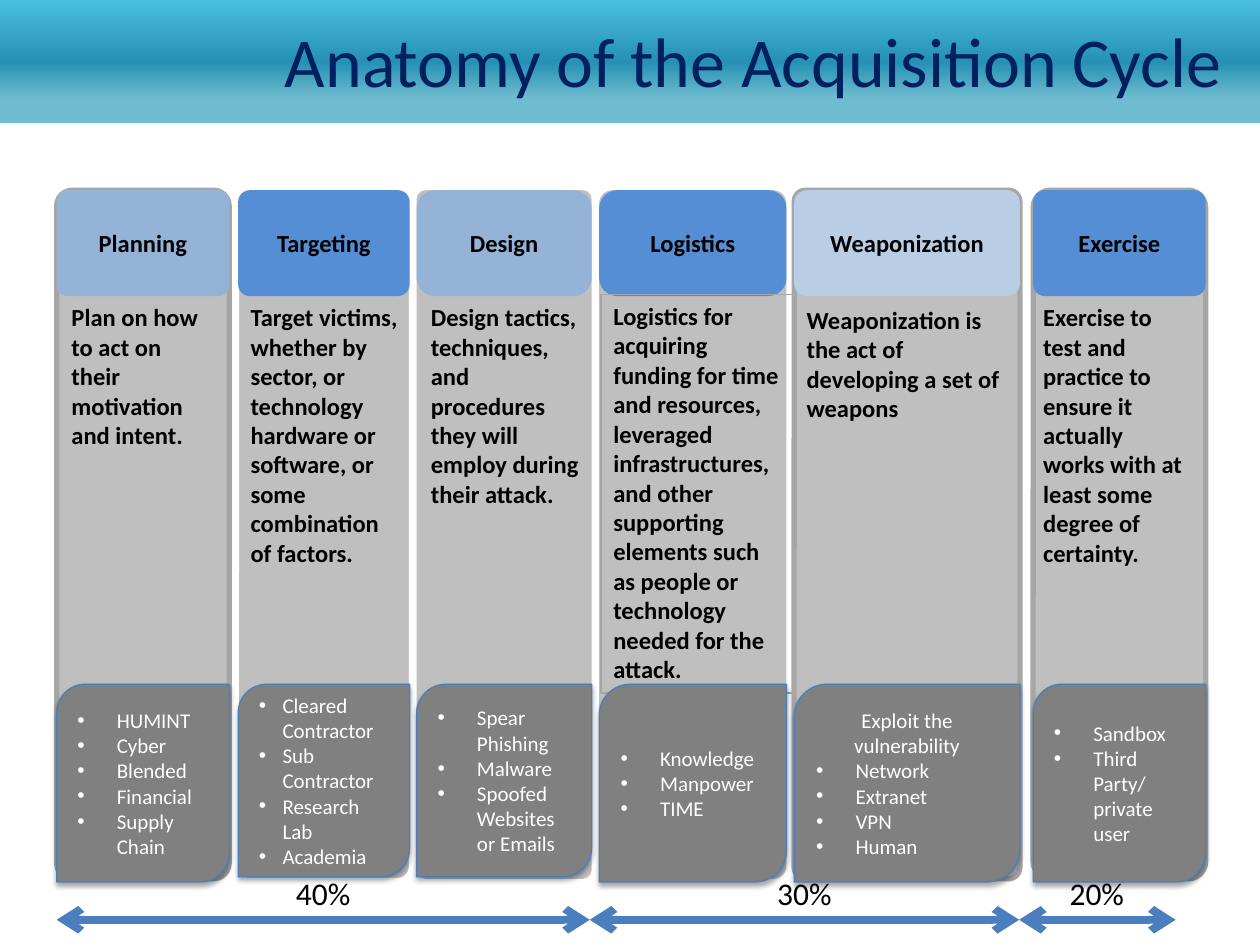
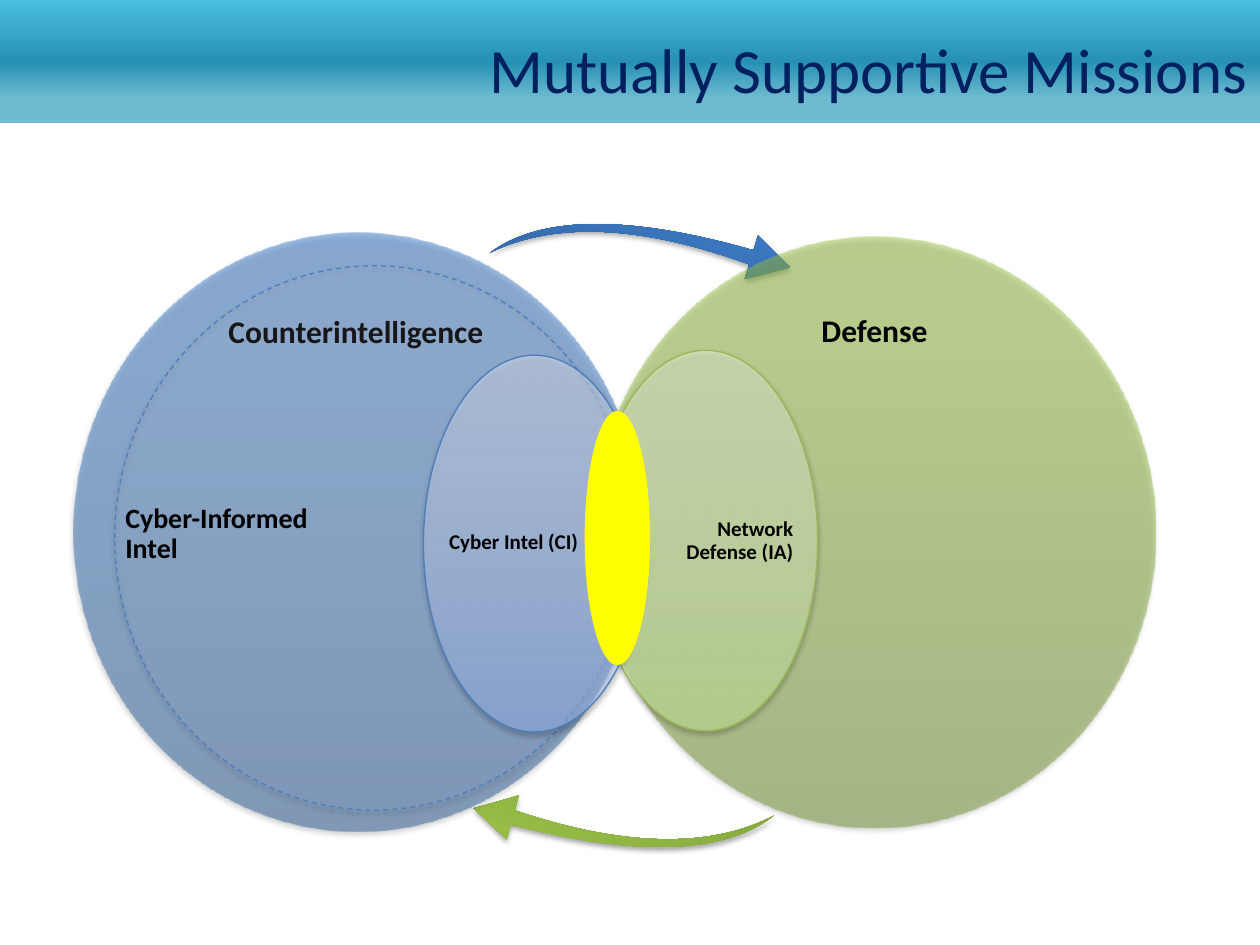
import dataclasses
import typing

import pptx
import pptx.dml.color
import pptx.enum.dml
import pptx.enum.shapes
import pptx.enum.text
import pptx.oxml
import pptx.oxml.ns
import pptx.util

Pt = pptx.util.Pt
SHAPE = pptx.enum.shapes.MSO_SHAPE
ALIGN = pptx.enum.text.PP_ALIGN
ANCHOR = pptx.enum.text.MSO_ANCHOR
qn = pptx.oxml.ns.qn
NS = pptx.oxml.ns.nsdecls("a")


class Theme:
    font = "Calibri"
    navy, black, white = "002060", "000000", "FFFFFF"
    panel, panel_edge, card = "BFBFBF", "A6A6A6", "808080"
    soft, strong, pale = "95B3D7", "558ED5", "B9CDE5"
    edge, green_edge, yellow = "4B7EBC", "98B955", "FFFF00"
    band = [(15, "6FBCD0"), (20, "6FBCD0"), (50, "2691B4"), (100, "4BBFDE")]
    blue = [(0, "2F5F99"), (80, "3D7CC7"), (100, "3A7CCB")]
    green = [(0, "779737"), (80, "9BC348"), (100, "9DC746")]
    light_blue = [(0, "A4C4FF"), (35, "BFD4FF"), (100, "E6EEFF")]
    light_green = [(0, "DAFDA7"), (35, "E4FCC2"), (100, "F5FFE7")]
    list_size, body, label, heading = 12, 14, 16, 18


class Box(typing.NamedTuple):
    x: float
    y: float
    w: float
    h: float

    def sub(self, x, y, w, h):
        return Box(self.x + x, self.y + y, w, h)

    def lengths(self):
        return [Pt(v) for v in self]


@dataclasses.dataclass
class Stage:
    name: str
    x: float
    w: float
    color: str
    corners: tuple
    text: str
    text_box: tuple
    items: list
    card_h: float = 113
    indent: float = 22.5
    border: str = None
    intro: str = None
    text_border: str = None


STAGES = [
    Stage("Planning", 0, 98.6, Theme.soft, (0.09, 0.1),
          "Plan on how to act on their motivation and intent.",
          (1.4, 60.5, 95.8, 92),
          ["HUMINT", "Cyber", "Blended", "Financial", "Supply Chain"],
          border=Theme.panel_edge),
    Stage("Targeting", 103.7, 98, Theme.strong, (0.07, 0.11),
          "Target victims, whether by sector, or technology hardware or "
          "software, or some combination of factors.",
          (0, 60.5, 102.2, 160),
          ["Cleared Contractor", "Sub Contractor", "Research Lab", "Academia"],
          card_h=110, indent=13.5, border=Theme.white),
    Stage("Design", 205.7, 100, Theme.soft, (0.05, 0.17),
          "Design tactics, techniques, and procedures they will employ "
          "during their attack.",
          (1, 60.5, 101.5, 126),
          ["Spear Phishing", "Malware", "Spoofed Websites or Emails"],
          card_h=110),
    Stage("Logistics", 310, 107, Theme.strong, (0.07, 0.17),
          "Logistics for acquiring funding for time and resources, leveraged "
          "infrastructures, and other supporting elements such as people or "
          "technology needed for the attack.",
          (1, 59.8, 110.9, 227.5),
          ["Knowledge", "Manpower", "TIME"], text_border=Theme.panel_edge),
    Stage("Weaponization", 421.4, 129, Theme.pale, (0.05, 0.12),
          "Weaponization is the act of developing a set of weapons",
          (0, 62, 129, 75),
          ["Network", "Extranet", "VPN", "Human"],
          border=Theme.panel_edge, intro="Exploit the vulnerability"),
    Stage("Exercise", 558, 98.6, Theme.strong, (0.1, 0.11),
          "Exercise to test and practice to ensure it actually works with at "
          "least some degree of certainty.",
          (-1.4, 60.5, 98, 143),
          ["Sandbox", "Third Party/ private user"], border=Theme.panel_edge),
]


def rgb(color):
    return pptx.dml.color.RGBColor.from_string(color)


def set_gradient(sp, stops, alpha=100, angle=270):
    sp.fill.background()
    gs = "".join(
        f'<a:gs pos="{pos * 1000}"><a:srgbClr val="{color}">'
        f'<a:alpha val="{alpha * 1000}"/></a:srgbClr></a:gs>'
        for pos, color in stops)
    grad = pptx.oxml.parse_xml(
        f'<a:gradFill {NS} rotWithShape="1"><a:gsLst>{gs}</a:gsLst>'
        f'<a:lin ang="{angle * 60000}" scaled="0"/></a:gradFill>')
    spPr = sp.element.spPr
    spPr.replace(spPr.find(qn("a:noFill")), grad)


def set_shadow(sp):
    sp.element.spPr.find(qn("a:effectLst")).append(pptx.oxml.parse_xml(
        f'<a:outerShdw {NS} blurRad="{Pt(3.1)}" dist="{Pt(1.8)}" dir="5400000" '
        'rotWithShape="0"><a:srgbClr val="000000"><a:alpha val="35000"/>'
        '</a:srgbClr></a:outerShdw>'))


def add_shape(slide, kind, box, fill=None, line=None, width=0.75, adj=(),
              alpha=100, shadow=False):
    sp = slide.shapes.add_shape(kind, *box.lengths())
    sp.shadow.inherit = False
    if isinstance(fill, list):
        set_gradient(sp, fill, alpha)
    elif fill:
        sp.fill.solid()
        sp.fill.fore_color.rgb = rgb(fill)
    else:
        sp.fill.background()
    if line:
        sp.line.color.rgb = rgb(line)
        sp.line.width = Pt(width)
    else:
        sp.line.fill.background()
    for i, value in enumerate(adj):
        sp.adjustments[i] = value
    if shadow:
        set_shadow(sp)
    return sp


def add_run(p, text, size, color=Theme.black, bold=False):
    r = p.add_run()
    r.text = text
    r.font.name = Theme.font
    r.font.size = Pt(size)
    r.font.bold = bold
    r.font.color.rgb = rgb(color)


def write(sp, lines, size, align=ALIGN.LEFT, anchor=ANCHOR.TOP, bold=True,
          color=Theme.black, wrap=True):
    tf = sp.text_frame
    tf.word_wrap = wrap
    tf.vertical_anchor = anchor
    p = tf.paragraphs[0]
    p.alignment = align
    for i, line in enumerate(lines):
        if i:
            p.add_line_break()
        add_run(p, line, size, color, bold)
    return tf


def add_text(slide, box, lines, size, **options):
    sp = slide.shapes.add_textbox(*box.lengths())
    return write(sp, lines, size, **options)


def add_venn_label(slide, box, lines, size, inset, align):
    tf = add_text(slide, box, lines, size, align=align, anchor=ANCHOR.MIDDLE)
    tf.margin_left = tf.margin_right = Pt(inset)
    tf.margin_top = tf.margin_bottom = Pt(inset)
    tf.paragraphs[0].line_spacing = 0.9


def add_band(slide):
    sp = add_shape(slide, SHAPE.RECTANGLE, Box(0, 0, 720, 70.5), Theme.band)
    slide.slide_layout.shapes.element.insert(2, sp.element)


def set_title(slide, box, text, size):
    sp = slide.shapes.title
    sp.left, sp.top, sp.width, sp.height = box.lengths()
    tf = write(sp, [text], size, ALIGN.RIGHT, ANCHOR.MIDDLE, False, Theme.navy)
    tf.auto_size = pptx.enum.text.MSO_AUTO_SIZE.NONE


def add_bullet(p, indent):
    pPr = p._p.get_or_add_pPr()
    pPr.set("marL", str(Pt(indent)))
    pPr.set("indent", str(-Pt(indent)))
    for tag in ('<a:buFont %s typeface="Arial"/>', '<a:buChar %s char="•"/>'):
        pPr.append(pptx.oxml.parse_xml(tag % NS))


def add_card(slide, box, stage):
    sp = add_shape(slide, SHAPE.ROUND_2_DIAG_RECTANGLE, box, Theme.card,
                   Theme.edge, shadow=True)
    tf = sp.text_frame
    tf.word_wrap = True
    tf.vertical_anchor = ANCHOR.MIDDLE
    entries = [(stage.intro, False)] if stage.intro else []
    entries += [(item, True) for item in stage.items]
    for i, (text, bulleted) in enumerate(entries):
        p = tf.add_paragraph() if i else tf.paragraphs[0]
        p.alignment = ALIGN.LEFT if bulleted else ALIGN.CENTER
        if bulleted:
            add_bullet(p, stage.indent)
        add_run(p, text, Theme.list_size, Theme.white)


def add_stage(slide, box, stage):
    body_corner, head_corner = stage.corners
    add_shape(slide, SHAPE.ROUNDED_RECTANGLE, box, Theme.panel, stage.border,
              1 if stage.border == Theme.white else 3, [body_corner])
    head = add_shape(slide, SHAPE.ROUNDED_RECTANGLE, box.sub(0, 0, box.w, 60.5),
                     stage.color, adj=[head_corner])
    write(head, [stage.name], Theme.body, ALIGN.CENTER, ANCHOR.MIDDLE)
    text = add_shape(slide, SHAPE.RECTANGLE, box.sub(*stage.text_box),
                     line=stage.text_border)
    write(text, [stage.text], Theme.body)
    add_card(slide, box.sub(0, 282.3, box.w, stage.card_h), stage)


def add_stages(slide, box):
    for stage in STAGES:
        add_stage(slide, box.sub(stage.x, 0, stage.w, box.h), stage)


def add_timeline(slide, box):
    stops = [0, 304.6, 550, 639.4]
    labels = [("40%", 129.6), ("30%", 404.6), ("20%", 571.7)]
    y = Pt(box.y + box.h)
    for start, end, (share, x) in zip(stops, stops[1:], labels):
        cx = slide.shapes.add_connector(
            pptx.enum.shapes.MSO_CONNECTOR.STRAIGHT,
            Pt(box.x + start), y, Pt(box.x + end), y)
        cx.line.color.rgb = rgb(Theme.edge)
        cx.line.width = Pt(4.5)
        ln = cx.line._get_or_add_ln()
        for tag in ("headEnd", "tailEnd"):
            ln.append(pptx.oxml.parse_xml(f'<a:{tag} {NS} type="arrow"/>'))
        cx.element.spPr.append(pptx.oxml.parse_xml(f"<a:effectLst {NS}/>"))
        add_text(slide, box.sub(x, 0, 46, 29), [share], Theme.heading,
                 bold=False, wrap=False)


def add_venn(slide, box):
    for x, y, turn, fill in ((245.5, -23.8, 23.4, Theme.blue),
                             (232.6, 300.2, 202, Theme.green)):
        sp = add_shape(slide, SHAPE.SWOOSH_ARROW, box.sub(x, y, 160.6, 69.8),
                       fill, adj=[0.12, 0.33], shadow=True)
        sp.rotation = turn

    def oval(place, fill, alpha=50, line=None):
        return add_shape(slide, SHAPE.OVAL, box.sub(*place), fill, line,
                         alpha=alpha, shadow=True)

    def label(place, lines, size, inset, align=ALIGN.LEFT):
        add_venn_label(slide, box.sub(*place), lines, size, inset, align)

    oval((0, 0, 324.7, 342), Theme.blue)
    label((55.4, 31.7, 212.4, 51), ["Counterintelligence"], Theme.heading, 6,
          ALIGN.CENTER)
    informed = oval((23.8, 18.7, 296, 311), Theme.light_blue, 10, Theme.edge)
    informed.line.dash_style = pptx.enum.dml.MSO_LINE.DASH
    label((23.8, 144, 147.6, 56), ["Cyber-Informed", "Intel"], Theme.label, 6)
    oval((297.4, 2.2, 321, 337.7), Theme.green)
    label((403.2, 31.7, 109.4, 50.4), ["Defense"], Theme.heading, 9,
          ALIGN.CENTER)
    oval((297.4, 67, 128, 217.4), Theme.light_green, line=Theme.green_edge)
    oval((200.2, 69.8, 126.7, 215.3), Theme.light_blue, line=Theme.edge)
    label((208.8, 123, 90, 107.3), ["Cyber Intel (CI)"], Theme.list_size, 6)
    label((329.8, 121.7, 90.7, 108.7), ["Network Defense (IA)"],
          Theme.list_size, 9, ALIGN.RIGHT)
    add_shape(slide, SHAPE.OVAL, box.sub(292.3, 101.5, 37.4, 145.4),
              Theme.yellow)


def main():
    prs = pptx.Presentation()
    prs.slide_width, prs.slide_height = Pt(720), Pt(540)
    cycle, missions = [prs.slides.add_slide(prs.slide_layouts[5])
                       for _ in range(2)]
    add_band(cycle)
    set_title(cycle, Box(136, 6.5, 569, 55.5),
              "Anatomy of the Acquisition Cycle", 40)
    add_stages(cycle, Box(32.4, 108.7, 656.6, 393.5))
    add_timeline(cycle, Box(32.4, 496.1, 639.4, 29.5))
    set_title(missions, Box(0, 12.2, 720, 54), "Mutually Supportive Missions", 36)
    add_venn(missions, Box(41.8, 133.2, 618.4, 342))
    prs.save("out.pptx")


if __name__ == "__main__":
    main()
